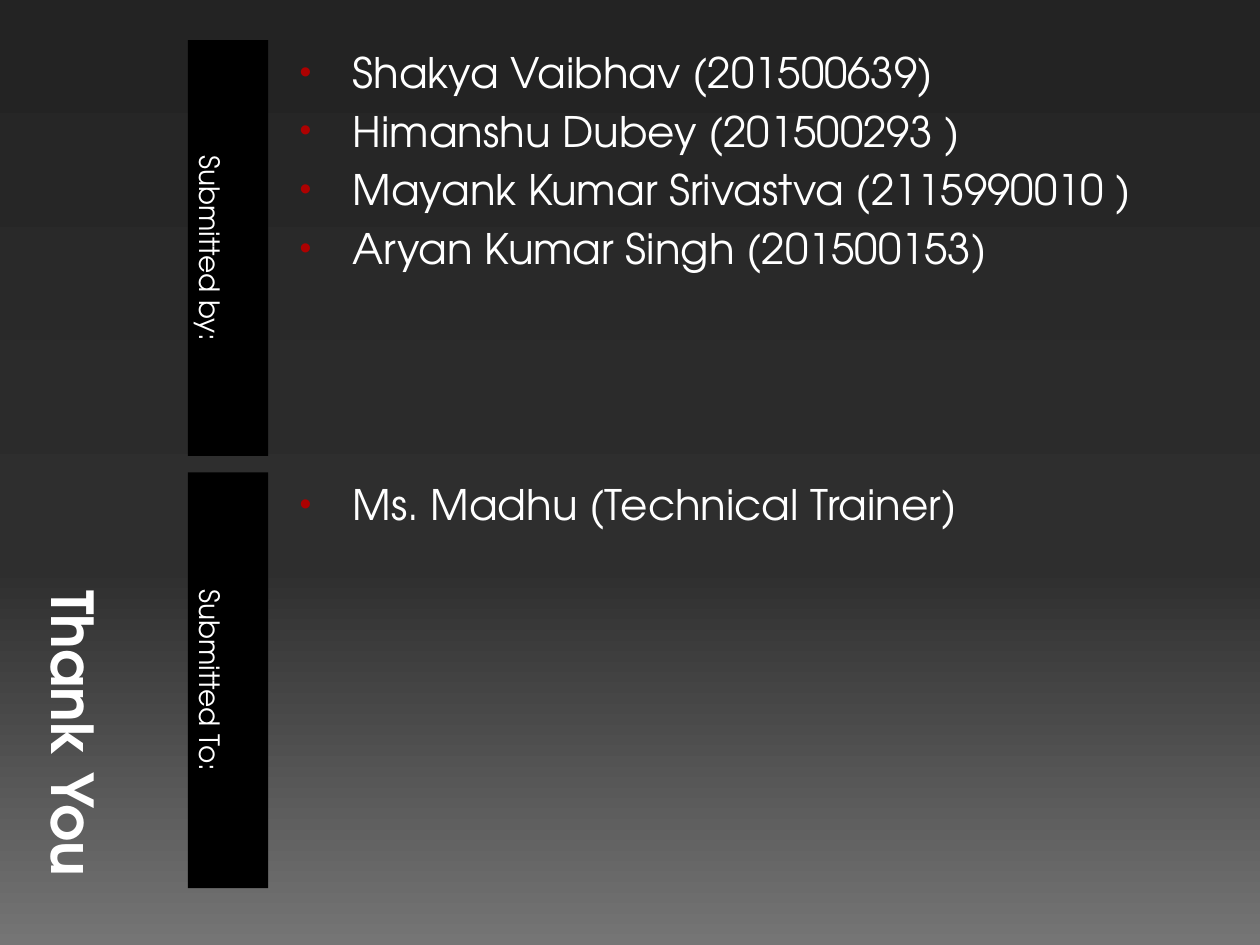
"""Build the closing slide: who submitted the work and to whom."""
from copy import deepcopy
from dataclasses import dataclass

from lxml import etree
from pptx import Presentation
from pptx import util as u
from pptx.dml.color import RGBColor
from pptx.enum import shapes, text
from pptx.oxml.ns import qn

FONT = "TeX Gyre Adventor"
COLORS = {
    "text": "FFFFFF",
    "label": "000000",
    "bullet": "AD0101",
}
BACKGROUND = ((0, "232323"), (0.6, "2E2E2E"), (1, "757575"))
TOP, ROW_HEIGHT, ROW_STEP = 23, 237.6, 247
TITLE_LEFT, TITLE_LENGTH, TITLE_DEPTH = 19.4, 484.6, 84.2
LABEL_LEFT, LABEL_WIDTH = 107.3, 46
LIST_LEFT, LIST_WIDTH = 159.1, 540


@dataclass
class Section:
    label: str
    people: list[str]


SECTIONS = [
    Section("Submitted by:", [
        "Shakya Vaibhav (201500639)",
        "Himanshu Dubey (201500293 )",
        "Mayank Kumar Srivastva (2115990010 )",
        "Aryan Kumar Singh (201500153)",
    ]),
    Section("Submitted To:", ["Ms. Madhu (Technical Trainer)"]),
]


def paint_background(page) -> None:
    """Fill the page with a three-stop vertical gradient."""
    fill = page.background.fill
    fill.gradient()
    fill.gradient_angle = 270
    stop_list = page.element.find(".//" + qn("a:gsLst"))
    stop_list.append(deepcopy(stop_list[-1]))
    for stop, (position, color) in zip(fill.gradient_stops, BACKGROUND):
        stop.position = position
        stop.color.rgb = RGBColor.from_string(color)


def add_bullet(para) -> None:
    """Give a paragraph a hanging, coloured bullet."""
    props = para._p.get_or_add_pPr()
    props.set("marL", str(u.Pt(35.3)))
    props.set("indent", str(u.Pt(-30.2)))
    color = etree.SubElement(props, qn("a:buClr"))
    etree.SubElement(color, qn("a:srgbClr"), val=COLORS["bullet"])
    etree.SubElement(props, qn("a:buSzPct"), val="80000")
    etree.SubElement(props, qn("a:buFont"), typeface="Arial")
    etree.SubElement(props, qn("a:buChar"), char="•")


def write(box, lines: list[str], *, size: float, bold: bool = False,
          align=text.PP_ALIGN.LEFT, anchor=text.MSO_ANCHOR.TOP,
          direction: str = "horz", bullets: bool = False,
          before: float = 0) -> None:
    """Write formatted paragraphs into a shape."""
    frame = box.text_frame
    frame.word_wrap = True
    frame.auto_size = text.MSO_AUTO_SIZE.NONE
    frame.vertical_anchor = anchor
    frame._txBody.bodyPr.set("vert", direction)
    for index, line in enumerate(lines):
        para = frame.add_paragraph() if index else frame.paragraphs[0]
        para.alignment = align
        para.space_before = u.Pt(before)
        if bullets:
            add_bullet(para)
        span = para.add_run()
        span.text = line
        span.font.name = FONT
        span.font.size = u.Pt(size)
        span.font.bold = bold
        span.font.color.rgb = RGBColor.from_string(COLORS["text"])


def add_title(page, title: str) -> None:
    """Stand the title along the left edge, turned a quarter clockwise."""
    box = page.shapes.title
    shift = (TITLE_LENGTH - TITLE_DEPTH) / 2
    box.left, box.top = u.Pt(TITLE_LEFT - shift), u.Pt(TOP + shift)
    box.width, box.height = u.Pt(TITLE_LENGTH), u.Pt(TITLE_DEPTH)
    box.rotation = 90
    write(box, [title], size=33, bold=True, align=text.PP_ALIGN.RIGHT,
          anchor=text.MSO_ANCHOR.BOTTOM)


def add_section(page, section: Section, top: float) -> None:
    """Draw a sideways label with its list of people."""
    label = page.shapes.add_shape(
        shapes.MSO_SHAPE.RECTANGLE, u.Pt(LABEL_LEFT), u.Pt(top),
        u.Pt(LABEL_WIDTH), u.Pt(ROW_HEIGHT))
    label.shadow.inherit = False
    label.fill.solid()
    label.fill.fore_color.rgb = RGBColor.from_string(COLORS["label"])
    label.line.fill.background()
    write(label, [section.label], size=16, align=text.PP_ALIGN.CENTER,
          anchor=text.MSO_ANCHOR.BOTTOM, direction="vert")
    people = page.shapes.add_textbox(
        u.Pt(LIST_LEFT), u.Pt(top), u.Pt(LIST_WIDTH), u.Pt(ROW_HEIGHT))
    write(people, section.people, size=24, bullets=True, before=4.8)


def main() -> None:
    """Build and save the deck."""
    deck = Presentation()
    deck.slide_width, deck.slide_height = u.Pt(720), u.Pt(540)
    page = deck.slides.add_slide(deck.slide_layouts[5])
    paint_background(page)
    add_title(page, "Thank You")
    for index, section in enumerate(SECTIONS):
        add_section(page, section, TOP + index * ROW_STEP)
    deck.save("out.pptx")


if __name__ == "__main__":
    main()
